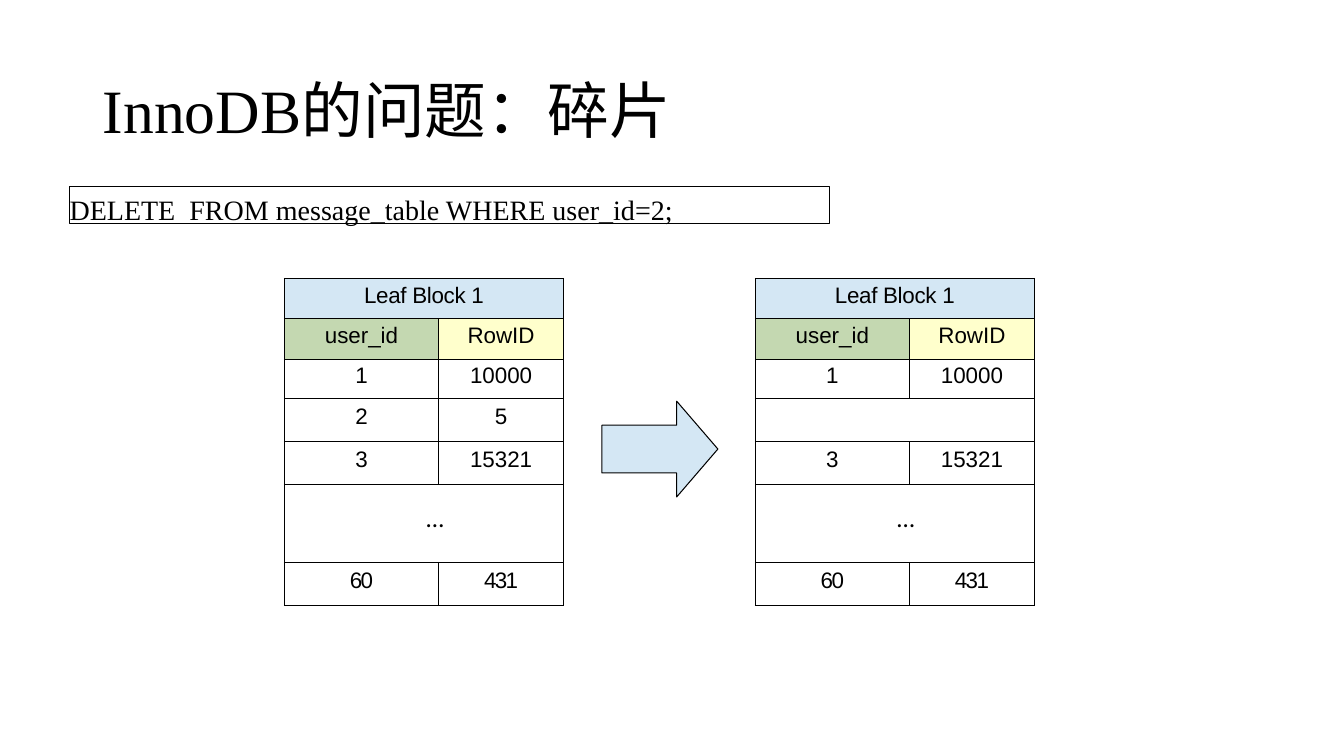
from lxml import etree
from pptx import Presentation
from pptx.dml.color import RGBColor
from pptx.enum.shapes import MSO_SHAPE
from pptx.enum.text import MSO_ANCHOR, MSO_AUTO_SIZE, PP_ALIGN
from pptx.oxml.ns import qn
from pptx.util import Inches, Pt

RIGHT_ARROW, RECTANGLE = MSO_SHAPE.RIGHT_ARROW, MSO_SHAPE.RECTANGLE
TOP, MIDDLE = MSO_ANCHOR.TOP, MSO_ANCHOR.MIDDLE
LEFT, CENTER = PP_ALIGN.LEFT, PP_ALIGN.CENTER
NO_FIT = MSO_AUTO_SIZE.NONE
TITLE_ONLY = 5

THEME = {
    "ink": "000000", "blue": "D4E7F4", "green": "C4D8B1", "yellow": "FFFFCC",
    "serif": "Times New Roman", "sans": "Arial", "dots": "Calibri",
    "title": 44, "code": 20, "cell": 16, "ellipsis": 18, "line": 0.75,
}

TABLE_TOP, TABLE_LEFTS = 2.76, (2.82, 7.49)
COLUMNS = (1.53, 1.24)
ROWS = (0.4, 0.41, 0.38, 0.43, 0.43, 0.77, 0.43)
TOP_MARGINS = (0.05, 0.05, 0.03, 0.06, 0.06, 0.06, 0.06)
TRACKING = (-0.2, 0, 0, 0, 0, 0, -1.1)
FILLS = {(0, 0): "blue", (1, 0): "green", (1, 1): "yellow"}

# A row with a single entry spans both columns.
BEFORE = [["Leaf Block 1"], ["user_id", "RowID"], ["1", "10000"], ["2", "5"],
          ["3", "15321"], [""], ["60", "431"]]
AFTER = BEFORE[:3] + [[""]] + BEFORE[4:]


def write(frame, text, font, size, align=LEFT, tracking=0):
    """Put one run in the first paragraph; tracking is in points."""
    para = frame.paragraphs[0]
    para.alignment = align
    span = para.add_run()
    span.text = text
    span.font.name = THEME[font]
    span.font.size = Pt(THEME[size])
    span.font.color.rgb = RGBColor.from_string(THEME["ink"])
    if tracking:
        span.font._element.set("spc", str(round(tracking * 100)))
    return para


def outline_cell(cell):
    properties = cell._tc.get_or_add_tcPr()
    for side in ("lnL", "lnR", "lnT", "lnB"):
        line = etree.SubElement(properties, qn(f"a:{side}"), w=str(Pt(THEME["line"])))
        fill = etree.SubElement(line, qn("a:solidFill"))
        etree.SubElement(fill, qn("a:srgbClr"), val=THEME["ink"])


deck = Presentation()
deck.slide_width, deck.slide_height = Inches(13.33), Inches(7.5)
page = deck.slides.add_slide(deck.slide_layouts[TITLE_ONLY])

title = page.shapes.title
title.left, title.top = Inches(0.92), Inches(0.4)
title.width, title.height = Inches(11.5), Inches(1.45)
title.text_frame.auto_size = NO_FIT
title.text_frame.vertical_anchor = MIDDLE
write(title.text_frame, "InnoDB的问题：碎片", "serif", "title").line_spacing = 0.9

# SQL statement
statement = page.shapes.add_shape(
    RECTANGLE, Inches(0.69), Inches(1.85), Inches(7.54), Inches(0.37))
statement.shadow.inherit = False
statement.fill.background()
frame = statement.text_frame
frame.margin_left = frame.margin_right = frame.margin_top = frame.margin_bottom = 0
frame.vertical_anchor = TOP
frame.word_wrap = True
para = write(frame, "DELETE  FROM message_table WHERE user_id=2;", "serif", "code")
para.line_spacing = Pt(28.5)

# Arrow from the block before to the block after
arrow = page.shapes.add_shape(
    RIGHT_ARROW, Inches(5.97), Inches(3.98), Inches(1.15), Inches(0.95))
arrow.shadow.inherit = False
arrow.adjustments[0], arrow.adjustments[1] = 0.5, 0.43
arrow.fill.solid()
arrow.fill.fore_color.rgb = RGBColor.from_string(THEME["blue"])

for shape in (statement, arrow):
    shape.line.color.rgb = RGBColor.from_string(THEME["ink"])
    shape.line.width = Pt(THEME["line"])

# Leaf blocks
for left, block in zip(TABLE_LEFTS, (BEFORE, AFTER)):
    table = page.shapes.add_table(
        len(ROWS), len(COLUMNS), Inches(left), Inches(TABLE_TOP),
        Inches(sum(COLUMNS)), Inches(sum(ROWS))).table
    table.first_row = table.horz_banding = False
    for column, width in zip(table.columns, COLUMNS):
        column.width = Inches(width)
    for r, entries in enumerate(block):
        table.rows[r].height = Inches(ROWS[r])
        if len(entries) == 1:
            table.cell(r, 0).merge(table.cell(r, 1))
        for c, entry in enumerate(entries):
            cell = table.cell(r, c)
            outline_cell(cell)
            if (r, c) in FILLS:
                cell.fill.solid()
                cell.fill.fore_color.rgb = RGBColor.from_string(THEME[FILLS[r, c]])
            else:
                cell.fill.background()
            cell.margin_left = cell.margin_right = cell.margin_bottom = 0
            cell.margin_top = Inches(TOP_MARGINS[r])
            if entry:
                write(cell.text_frame, entry, "sans", "cell", CENTER, TRACKING[r])

    dots = page.shapes.add_textbox(
        Inches(left + 1.31), Inches(4.93), Inches(0.38), Inches(0.4))
    dots.text_frame.word_wrap = False
    write(dots.text_frame, "…", "dots", "ellipsis")

deck.save("out.pptx")
